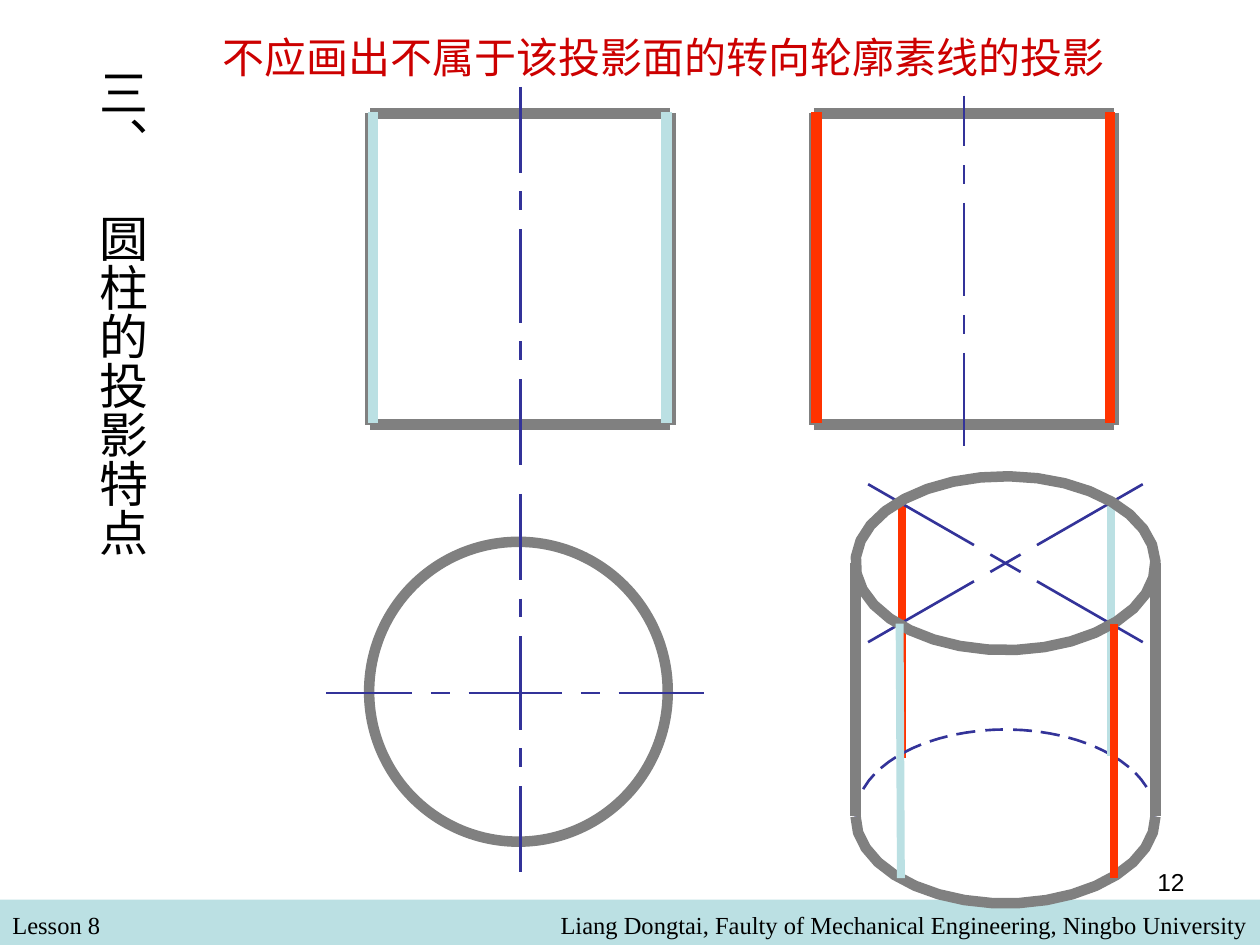
"""Build the slide on the projection features of a cylinder."""
from math import cos, pi, sin, sqrt

from lxml.etree import SubElement
from pptx import Presentation
from pptx.dml.color import RGBColor
from pptx.enum.shapes import MSO_CONNECTOR, MSO_SHAPE
from pptx.enum.text import PP_ALIGN
from pptx.oxml.ns import qn
from pptx.util import Inches, Pt

BLACK = RGBColor(0x00, 0x00, 0x00)
GRAY = RGBColor(0x80, 0x80, 0x80)
TEAL = RGBColor(0xBB, 0xE0, 0xE3)
RED = RGBColor(0xFF, 0x33, 0x00)
BLUE = RGBColor(0x33, 0x33, 0x99)
TITLE_RED = RGBColor(0xCC, 0x00, 0x00)

OUTLINE, EDGE, AXIS = 6, 4.5, 1.5
CENTER_X, TOP_Y, BASE_Y = 7.98, 4.47, 6.48
RADIUS_X, RADIUS_Y = 1.19, 0.69
VIEW_TOP, VIEW_BOTTOM, VIEW_WIDTH = 0.9, 3.37, 2.38


class Drawing:
    """Hold the current slide and draw its elements in one style."""

    def __init__(self, slide):
        self.slide = slide

    def text(self, box, content, size, font_name, color=BLACK,
             alignment=PP_ALIGN.LEFT, line_spacing=None, vertical=False):
        shape = self.slide.shapes.add_textbox(*map(Inches, box))
        frame = shape.text_frame
        frame.word_wrap = True
        if vertical:
            frame.margin_left = frame.margin_right = Inches(0.05)
            frame.margin_top = frame.margin_bottom = Inches(0.1)
            frame._txBody.bodyPr.set("vert", "eaVert")
        paragraph = frame.paragraphs[0]
        paragraph.text = content
        paragraph.alignment = alignment
        if line_spacing:
            paragraph.line_spacing = line_spacing
        paragraph.font.size = Pt(size)
        paragraph.font.name = font_name
        paragraph.font.color.rgb = color
        properties = paragraph._p.pPr.find(qn("a:defRPr"))
        SubElement(properties, qn("a:ea")).set("typeface", "Noto Sans CJK SC")

    def band(self, box, color):
        shape = self.slide.shapes.add_shape(MSO_SHAPE.RECTANGLE, *map(Inches, box))
        shape.shadow.inherit = False
        shape.fill.solid()
        shape.fill.fore_color.rgb = color
        shape.line.fill.background()

    def circle(self, box):
        shape = self.slide.shapes.add_shape(MSO_SHAPE.OVAL, *map(Inches, box))
        self.outline(shape, GRAY, OUTLINE)

    def outline(self, shape, color, width):
        shape.shadow.inherit = False
        shape.fill.background()
        shape.line.color.rgb = color
        shape.line.width = Pt(width)

    def line(self, x1, y1, x2, y2, color, width):
        connector = self.slide.shapes.add_connector(
            MSO_CONNECTOR.STRAIGHT, *map(Inches, (x1, y1, x2, y2)))
        connector.line.color.rgb = color
        connector.line.width = Pt(width)
        SubElement(connector._element.spPr, qn("a:effectLst"))

    def curve(self, points, color, width, close=False):
        start, *others = [(Inches(x), Inches(y)) for x, y in points]
        builder = self.slide.shapes.build_freeform(*start)
        builder.add_line_segments(others, close=close)
        self.outline(builder.convert_to_shape(), color, width)

    def axis(self, position, start, first=0.68, last=0.68, horizontal=False):
        for length in (first, 0.15, 0.74, 0.15, last):
            end = start + length
            ends = ((start, position, end, position) if horizontal
                    else (position, start, position, end))
            self.line(*ends, BLUE, AXIS)
            start = end + 0.15

    def view(self, left):
        right = left + VIEW_WIDTH
        for y in (VIEW_BOTTOM, VIEW_TOP):
            self.line(left, y, right, y, GRAY, OUTLINE)
        for x in (left, right):
            self.line(x, VIEW_TOP, x, VIEW_BOTTOM, GRAY, OUTLINE)


def ellipse_point(angle, center_y):
    return CENTER_X + RADIUS_X * cos(angle), center_y + RADIUS_Y * sin(angle)


def hidden_point(x):
    ratio = (x - CENTER_X) / RADIUS_X
    return x, BASE_Y - RADIUS_Y * sqrt(max(0, 1 - ratio ** 2))


def draw_cylinder(drawing):
    hidden_dashes = [
        (6.79, 6.82), (6.85, 6.94), (6.99, 7.11), (7.17, 7.31), (7.38, 7.52),
        (7.59, 7.74), (7.82, 7.96), (8.04, 8.19), (8.26, 8.41), (8.48, 8.62),
        (8.69, 8.82), (8.82, 8.96), (9.01, 9.1), (9.14, 9.17)]
    for start, end in hidden_dashes:
        drawing.curve([hidden_point(x) for x in (start, (start + end) / 2, end)],
                      BLUE, AXIS)
    for side in (-1, 1):
        for start, end in ((-1.09, -0.25), (-0.12, 0.12), (0.25, 1.09)):
            slope = side * 0.575
            drawing.line(CENTER_X + start, TOP_Y + slope * start,
                         CENTER_X + end, TOP_Y + slope * end, BLUE, AXIS)
    drawing.curve([ellipse_point(pi - pi * step / 17, BASE_Y) for step in range(18)],
                  GRAY, OUTLINE)
    drawing.curve([ellipse_point(-pi / 4 - 2 * pi * step / 33, TOP_Y)
                   for step in range(33)], GRAY, OUTLINE, close=True)
    for x in (CENTER_X - RADIUS_X, CENTER_X + RADIUS_X):
        drawing.line(x, TOP_Y, x, BASE_Y, GRAY, OUTLINE)


def main():
    presentation = Presentation()
    presentation.slide_width = Inches(10)
    presentation.slide_height = Inches(7.5)
    drawing = Drawing(presentation.slides.add_slide(presentation.slide_layouts[6]))

    drawing.band((0, 7.14, 10, 0.36), TEAL)
    drawing.text((0, 7.17, 4.83, 0.34), "Lesson 8", 14, "Times New Roman")
    drawing.text((1.83, 7.17, 8.17, 0.34),
                 "Liang Dongtai, Faulty of Mechanical Engineering, Ningbo University",
                 14, "Times New Roman", alignment=PP_ALIGN.RIGHT)
    drawing.text((0.59, 0.44, 0.66, 6.46), "三、　圆柱的投影特点", 28, "Arial",
                 alignment=PP_ALIGN.CENTER, vertical=True)

    drawing.line(7.16, 3.98, 7.16, 6.02, RED, EDGE)
    drawing.line(8.82, 3.98, 8.82, 5.89, TEAL, EDGE)
    drawing.circle((2.93, 4.3, 2.37, 2.38))
    for left in (2.94, 6.46):
        drawing.view(left)
    drawing.axis(7.65, 0.76, first=0.4, last=0.74)
    drawing.axis(4.13, 0.69)
    drawing.axis(5.5, 2.59, horizontal=True)
    drawing.axis(4.13, 3.92)
    draw_cylinder(drawing)

    drawing.line(7.14, 4.95, 7.15, 6.97, TEAL, EDGE)
    drawing.line(8.82, 5.5, 8.82, 6, TEAL, EDGE)
    drawing.line(8.84, 4.95, 8.84, 6.97, RED, EDGE)
    for x, color in ((2.96, TEAL), (5.29, TEAL), (8.81, RED), (6.48, RED)):
        drawing.line(x, 0.89, x, 3.36, color, OUTLINE)

    drawing.text((1.67, 0, 7.42, 0.7), "不应画出不属于该投影面的转向轮廓素线的投影",
                 24, "Noto Sans CJK SC", TITLE_RED, PP_ALIGN.JUSTIFY, line_spacing=1.5)
    drawing.text((7.17, 6.83, 2.33, 0.52), "12", 14, "Arial",
                 alignment=PP_ALIGN.RIGHT)
    presentation.save("out.pptx")


if __name__ == "__main__":
    main()
